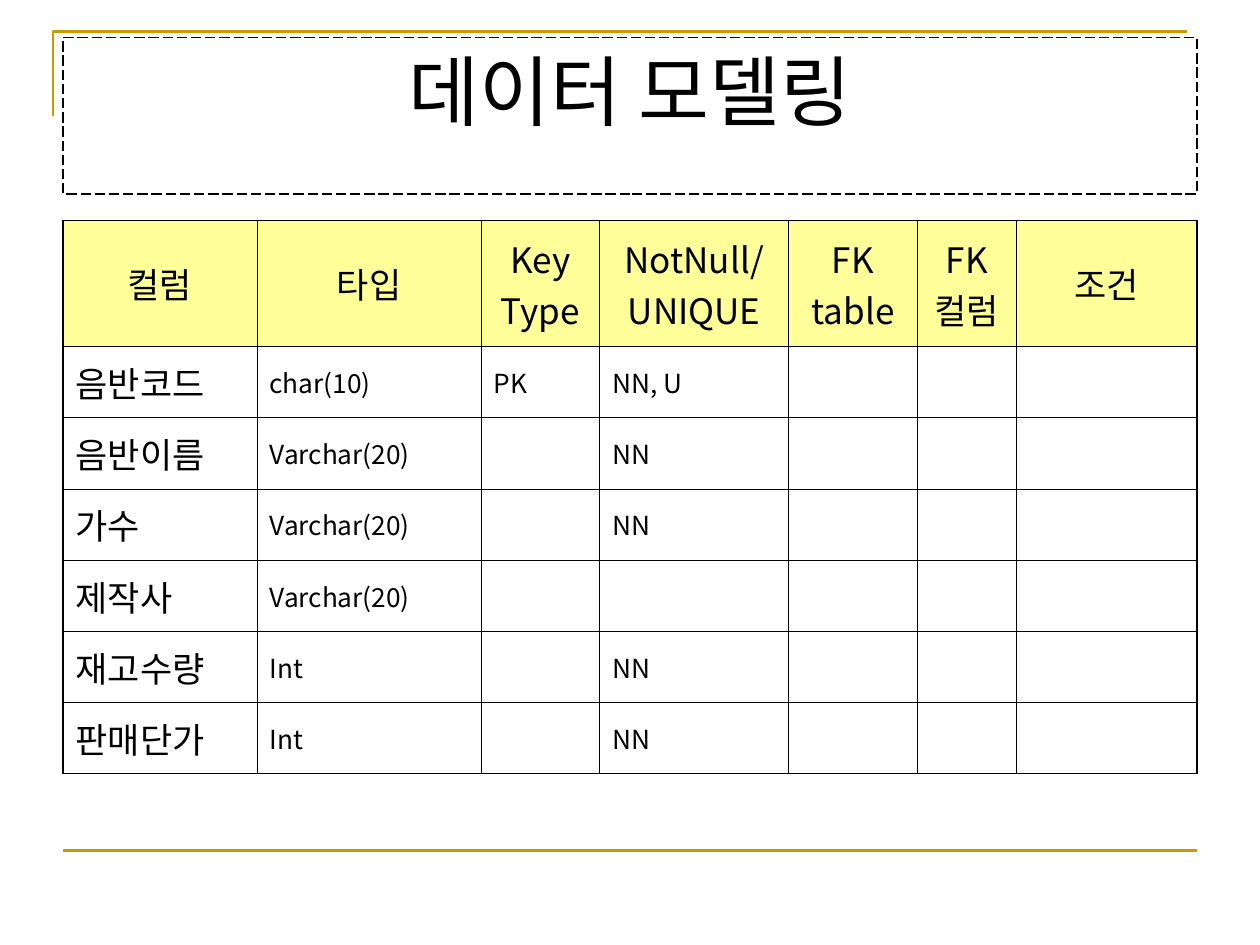
from dataclasses import dataclass

from lxml import etree
from pptx import Presentation
from pptx.dml.color import RGBColor
from pptx.enum.dml import MSO_LINE
from pptx.enum.shapes import MSO_CONNECTOR, MSO_SHAPE
from pptx.enum.text import MSO_ANCHOR, PP_ALIGN
from pptx.oxml.ns import qn
from pptx.util import Inches, Pt

CENTER, LEFT = PP_ALIGN.CENTER, PP_ALIGN.LEFT
TOP, MIDDLE = MSO_ANCHOR.TOP, MSO_ANCHOR.MIDDLE
LONG_DASH = MSO_LINE.LONG_DASH
STRAIGHT = MSO_CONNECTOR.STRAIGHT
RECTANGLE = MSO_SHAPE.RECTANGLE

WIDTH, HEIGHT = 10, 7.5
MARGIN = 0.05 * WIDTH
CONTENT_WIDTH = WIDTH - 2 * MARGIN
FONT = "Noto Sans CJK KR"
COLORS = {"ink": "000000", "gold": "CC9900", "header": "FFFF99"}
OUTER, INNER = 1.08, 0.45


@dataclass(frozen=True)
class Field:
    name: str
    kind: str
    key: str = ""
    rule: str = ""
    foreign_table: str = ""
    foreign_column: str = ""
    condition: str = ""

    def texts(self) -> list[str]:
        return [self.name, self.kind, self.key, self.rule,
                self.foreign_table, self.foreign_column, self.condition]


@dataclass(frozen=True)
class Column:
    title: str
    width: float


COLUMNS = [
    Column("컬럼", 1.54),
    Column("타입", 1.78),
    Column("Key Type", 0.94),
    Column("NotNull/ UNIQUE", 1.5),
    Column("FK table", 1.02),
    Column("FK컬럼", 0.79),
    Column("조건", 1.43),
]
FIELDS = [
    Field("음반코드", "char(10)", key="PK", rule="NN, U"),
    Field("음반이름", "Varchar(20)", rule="NN"),
    Field("가수", "Varchar(20)", rule="NN"),
    Field("제작사", "Varchar(20)"),
    Field("재고수량", "Int", rule="NN"),
    Field("판매단가", "Int", rule="NN"),
]
TABLE_TOP, TABLE_HEIGHT, HEADER_HEIGHT = 1.75, 4.39, 1
FIELD_HEIGHT = (TABLE_HEIGHT - HEADER_HEIGHT) / len(FIELDS)


def color(name: str) -> RGBColor:
    return RGBColor.from_string(COLORS[name])


def write(frame, text: str, *, size: float, align=LEFT, anchor=MIDDLE, before: float = 0) -> None:
    frame.word_wrap = True
    frame.vertical_anchor = anchor
    para = frame.paragraphs[0]
    para.alignment = align
    para.space_before = Pt(before)
    span = para.add_run()
    span.text = text
    span.font.size = Pt(size)
    span.font.name = FONT
    span.font.color.rgb = color("ink")
    east_asian = etree.SubElement(span.font._element, qn("a:ea"))
    east_asian.set("typeface", FONT)


def style_line(line, name: str, width: float) -> None:
    line.color.rgb = color(name)
    line.width = Pt(width)


def draw_corner(page) -> None:
    left, top, right, bottom = 0.42, 0.25, 9.42, 0.92
    builder = page.shapes.build_freeform(Inches(left), Inches(bottom))
    builder.add_line_segments(
        [(Inches(left), Inches(top)), (Inches(right), Inches(top))], close=False)
    corner = builder.convert_to_shape()
    corner.shadow.inherit = False
    corner.fill.background()
    style_line(corner.line, "gold", 1.5)


def draw_bottom_rule(page) -> None:
    level = Inches(0.9 * HEIGHT)
    rule = page.shapes.add_connector(
        STRAIGHT, Inches(MARGIN), level, Inches(WIDTH - MARGIN), level)
    style_line(rule.line, "gold", 1.5)
    etree.SubElement(rule._element.spPr, qn("a:effectLst"))


def draw_title(page, text: str) -> None:
    box = page.shapes.add_shape(
        RECTANGLE, Inches(MARGIN), Inches(0.04 * HEIGHT), Inches(CONTENT_WIDTH), Inches(1.24))
    box.shadow.inherit = False
    box.fill.background()
    style_line(box.line, "ink", 0.75)
    box.line.dash_style = LONG_DASH
    write(box.text_frame, text, size=44, align=CENTER, anchor=TOP)


def draw_borders(cell, widths: dict[str, float]) -> None:
    properties = cell._tc.get_or_add_tcPr()
    for side, width in widths.items():
        border = etree.SubElement(properties, qn(f"a:ln{side}"), w=str(Pt(width)))
        fill = etree.SubElement(border, qn("a:solidFill"))
        etree.SubElement(fill, qn("a:srgbClr"), val=COLORS["ink"])


def draw_table(page, columns: list[Column], fields: list[Field]) -> None:
    rows = [[column.title for column in columns]] + [field.texts() for field in fields]
    last_row, last_column = len(rows) - 1, len(columns) - 1
    table = page.shapes.add_table(
        len(rows), len(columns), Inches(MARGIN), Inches(TABLE_TOP),
        Inches(CONTENT_WIDTH), Inches(TABLE_HEIGHT)).table
    table.first_row = False
    table.horz_banding = False
    for index, column in enumerate(columns):
        table.columns[index].width = Inches(column.width)
    for row, texts in enumerate(rows):
        header = row == 0
        table.rows[row].height = Inches(HEADER_HEIGHT if header else FIELD_HEIGHT)
        for index, text in enumerate(texts):
            cell = table.cell(row, index)
            cell.vertical_anchor = MIDDLE
            draw_borders(cell, {
                "L": OUTER if index == 0 else INNER,
                "R": OUTER if index == last_column else INNER,
                "T": OUTER if header else INNER,
                "B": OUTER if row == last_row else INNER,
            })
            if header:
                cell.fill.solid()
                cell.fill.fore_color.rgb = color("header")
            else:
                cell.fill.background()
            if text:
                large = header or index == 0
                write(cell.text_frame, text, size=20 if large else 15,
                      align=CENTER if header else LEFT, before=5 if large else 3.7)


def main() -> None:
    deck = Presentation()
    deck.slide_width, deck.slide_height = Inches(WIDTH), Inches(HEIGHT)
    page = deck.slides.add_slide(deck.slide_layouts[6])
    draw_corner(page)
    draw_bottom_rule(page)
    draw_title(page, "데이터 모델링")
    draw_table(page, COLUMNS, FIELDS)
    deck.save("out.pptx")


if __name__ == "__main__":
    main()
